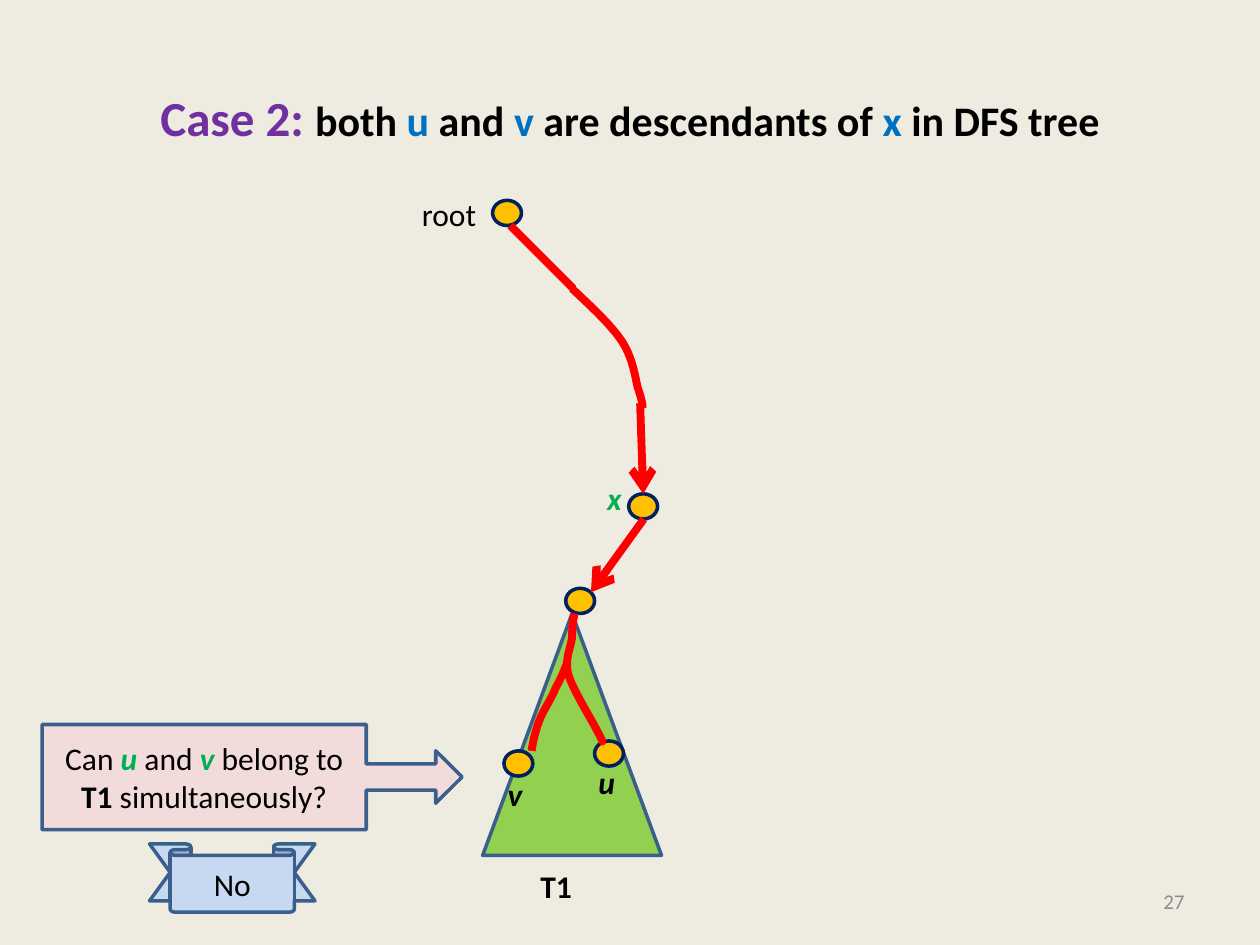
"""Build the slide on case 2 of the DFS tree argument."""
from lxml.etree import SubElement
from pptx import Presentation
from pptx.dml.color import RGBColor
from pptx.enum.shapes import MSO_CONNECTOR as Link, MSO_SHAPE as Shape
from pptx.enum.text import MSO_ANCHOR as Anchor, PP_ALIGN as Align
from pptx.oxml.ns import qn
from pptx.util import Pt

BLACK, RED, GREEN, BLUE, PURPLE = "000000", "FF0000", "00B050", "0070C0", "7030A0"
GOLD, NAVY, OUTLINE, GREY = "FFC000", "002060", "3A5F8C", "8C8C8C"
NODE_SIZE = (16.5, 14.4)
EDGE_WIDTH = 4.5
CURVE_STEPS = 12

TITLE = [("Case 2: ", {"size": 28, "color": PURPLE}), ("both ", {}), ("u", {"color": BLUE}),
         (" and ", {}), ("v", {"color": BLUE}), (" are descendants of ", {}),
         ("x ", {"color": BLUE}), ("in DFS tree", {})]
VERTEX = {"color": GREEN, "bold": True, "italic": True}
QUESTION = [("Can ", {}), ("u ", VERTEX), ("and ", {}), ("v", VERTEX),
            (" belong to ", {}), ("T1", {"bold": True}), (" simultaneously?", {})]
NODES = {"root": (281.5, 114.5), "x": (359.3, 282.2), "child": (323.3, 336.2),
         "u": (339.8, 423.4), "v": (288, 429.1)}
LABELS = [
    ("root", (234, 108, 46, 29), {}),
    ("x", (339.8, 270, 23, 29), VERTEX),
    ("u", (334.8, 432.7, 24.5, 29), {"bold": True, "italic": True}),
    ("v", (283, 439.2, 23, 29), {"bold": True, "italic": True}),
    ("T1", (301.7, 491.8, 32.4, 29), {"bold": True}),
]
CURVES = [
    [(326.9, 164.9), (337.7, 175), (348.5, 185), (355, 194.4), (361.4, 203.8),
     (362.9, 214.6), (364.3, 221), (366.5, 227.5), (367.2, 230.4), (367.2, 233.3)],
    [(324, 378.7), (322.6, 383), (320.4, 388), (317.5, 393.1), (315.4, 398.9),
     (310.3, 406.1), (308.2, 411.8), (306, 417.6), (304.6, 423.4), (303.8, 429.1)],
    [(328.3, 350.6), (327.6, 354.2), (326.9, 358.6), (326.9, 364.3), (326.2, 370.1),
     (322.6, 376.6), (324.7, 385.2), (327.6, 394.6), (338.4, 411.8), (341.3, 417.6),
     (344.9, 424.1), (344.2, 424.1), (344.2, 423.4)],
]


def rgb(value):
    """Return the colour for a hex string."""
    return RGBColor.from_string(value)


def write(shape, runs, size=18, color=BLACK, bold=False, italic=False,
          align=Align.LEFT, anchor=Anchor.TOP, wrap=True):
    """Write one paragraph; runs is a string or a list of (text, changes)."""
    frame = shape.text_frame
    frame.word_wrap, frame.vertical_anchor = wrap, anchor
    para = frame.paragraphs[0]
    para.alignment = align
    base = {"size": size, "color": color, "bold": bold, "italic": italic}
    for text, changes in [(runs, {})] if isinstance(runs, str) else runs:
        style = base | changes
        span = para.add_run()
        span.text = text
        span.font.name, span.font.size = "Calibri", Pt(style["size"])
        span.font.bold, span.font.italic = style["bold"], style["italic"]
        span.font.color.rgb = rgb(style["color"])


def add_text(page, runs, place, **style):
    """Add a text box."""
    write(page.shapes.add_textbox(*map(Pt, place)), runs, **style)


def add_block(page, kind, place, fill, line=OUTLINE, adjustments=()):
    """Add a filled preset shape."""
    block = page.shapes.add_shape(kind, *map(Pt, place))
    block.shadow.inherit = False
    block.fill.solid()
    block.fill.fore_color.rgb = rgb(fill)
    block.line.color.rgb, block.line.width = rgb(line), Pt(2)
    for index, value in enumerate(adjustments):
        block.adjustments[index] = value
    return block


def add_edge(page, start, end, arrow=False):
    """Add a straight tree edge."""
    edge = page.shapes.add_connector(Link.STRAIGHT, *map(Pt, start + end))
    edge.line.color.rgb, edge.line.width = rgb(RED), Pt(EDGE_WIDTH)
    if arrow:
        SubElement(edge.line._get_or_add_ln(), qn("a:tailEnd"), type="arrow")
    SubElement(edge._element.spPr, qn("a:effectLst"))
    return edge


def bezier(points):
    """Return points along a chain of cubic curves."""
    track = [points[0]]
    for first in range(0, len(points) - 1, 3):
        corners = points[first:first + 4]
        for step in range(1, CURVE_STEPS + 1):
            t = step / CURVE_STEPS
            weights = ((1 - t) ** 3, 3 * t * (1 - t) ** 2, 3 * t * t * (1 - t), t ** 3)
            track.append(tuple(sum(w * c[axis] for w, c in zip(weights, corners))
                               for axis in (0, 1)))
    return track


def add_curve(page, points):
    """Add a curved tree path."""
    track = [(round(x * 100), round(y * 100)) for x, y in bezier(points)]
    builder = page.shapes.build_freeform(*track[0], scale=Pt(1) / 100)
    builder.add_line_segments(track[1:], close=False)
    curve = builder.convert_to_shape()
    curve.shadow.inherit = False
    curve.fill.background()
    curve.line.color.rgb, curve.line.width = rgb(RED), Pt(EDGE_WIDTH)


def main():
    """Build and save the slide."""
    deck = Presentation()
    deck.slide_width, deck.slide_height = Pt(720), Pt(540)
    page = deck.slides.add_slide(deck.slide_layouts[6])
    page.background.fill.solid()
    page.background.fill.fore_color.rgb = rgb("EEECE1")

    add_text(page, TITLE, (36, 21.6, 648, 90), size=24, bold=True,
             align=Align.CENTER, anchor=Anchor.MIDDLE)
    add_text(page, "27", (516, 500.5, 168, 28.75), size=12, color=GREY,
             align=Align.RIGHT, anchor=Anchor.MIDDLE)

    add_block(page, Shape.ISOSCELES_TRIANGLE, (275.8, 350.6, 102.2, 138.2), "92D050")
    nodes = {name: add_block(page, Shape.OVAL, spot + NODE_SIZE, GOLD, NAVY)
             for name, spot in NODES.items()}
    add_edge(page, (291.6, 128.9), (327.6, 164.9))
    add_edge(page, (365.8, 230.4), (367.9, 282.2), arrow=True).end_connect(nodes["x"], 0)
    add_edge(page, (367.9, 296.6), (337.7, 338.4), arrow=True)
    for points in CURVES:
        add_curve(page, points)
    for text, place, style in LABELS:
        add_text(page, text, place, wrap=False, **style)

    centred = {"align": Align.CENTER, "anchor": Anchor.MIDDLE}
    callout = add_block(page, Shape.RIGHT_ARROW_CALLOUT, (24, 414, 240, 60), "F2DCDB",
                        adjustments=(0.25, 0.25, 0.25, 0.772))
    write(callout, QUESTION, **centred)
    ribbon = add_block(page, Shape.DOWN_RIBBON, (85.5, 482.3, 94.5, 39), "C6D9F1",
                       adjustments=(0.167, 0.75))
    write(ribbon, "No", **centred)
    deck.save("out.pptx")


if __name__ == "__main__":
    main()
